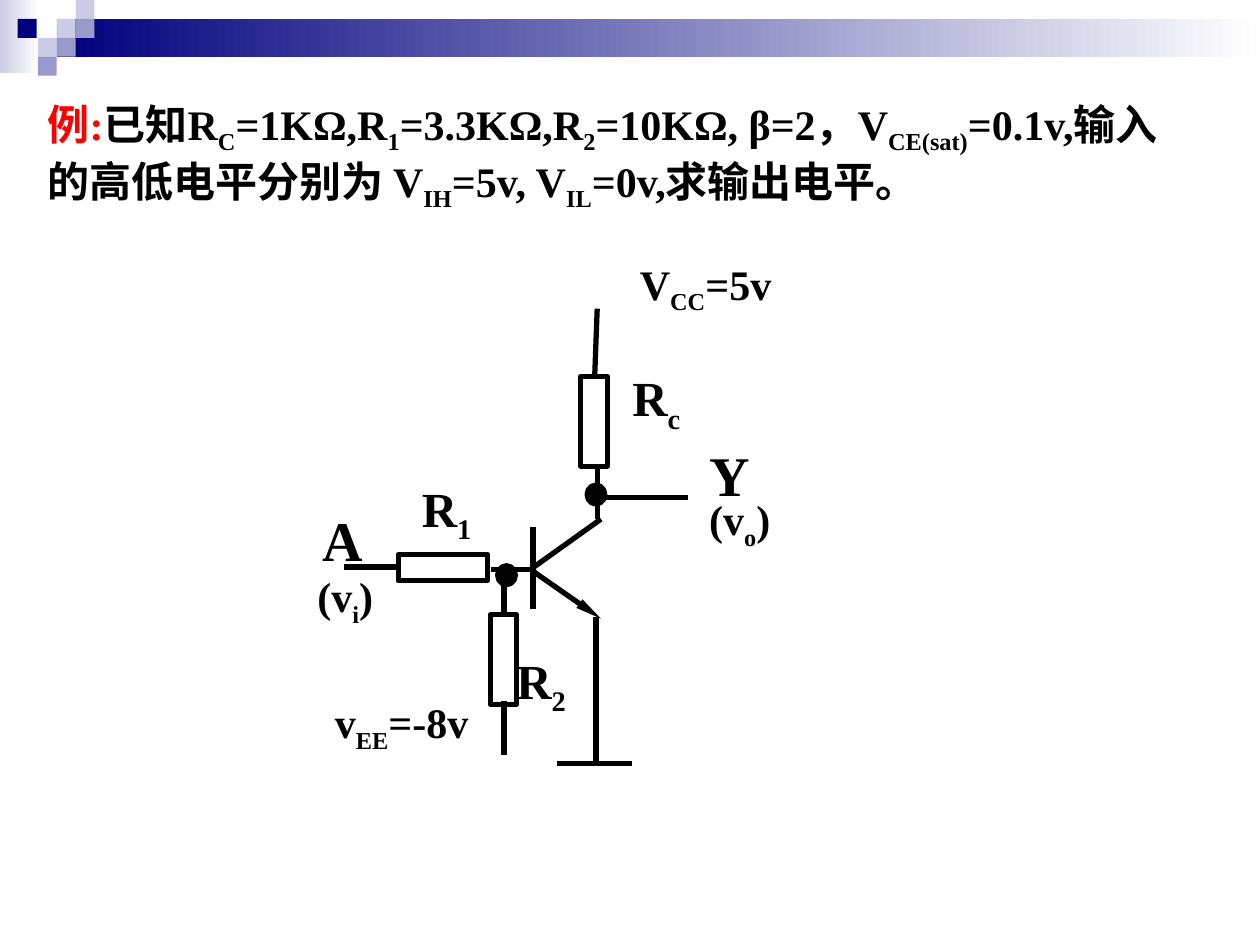
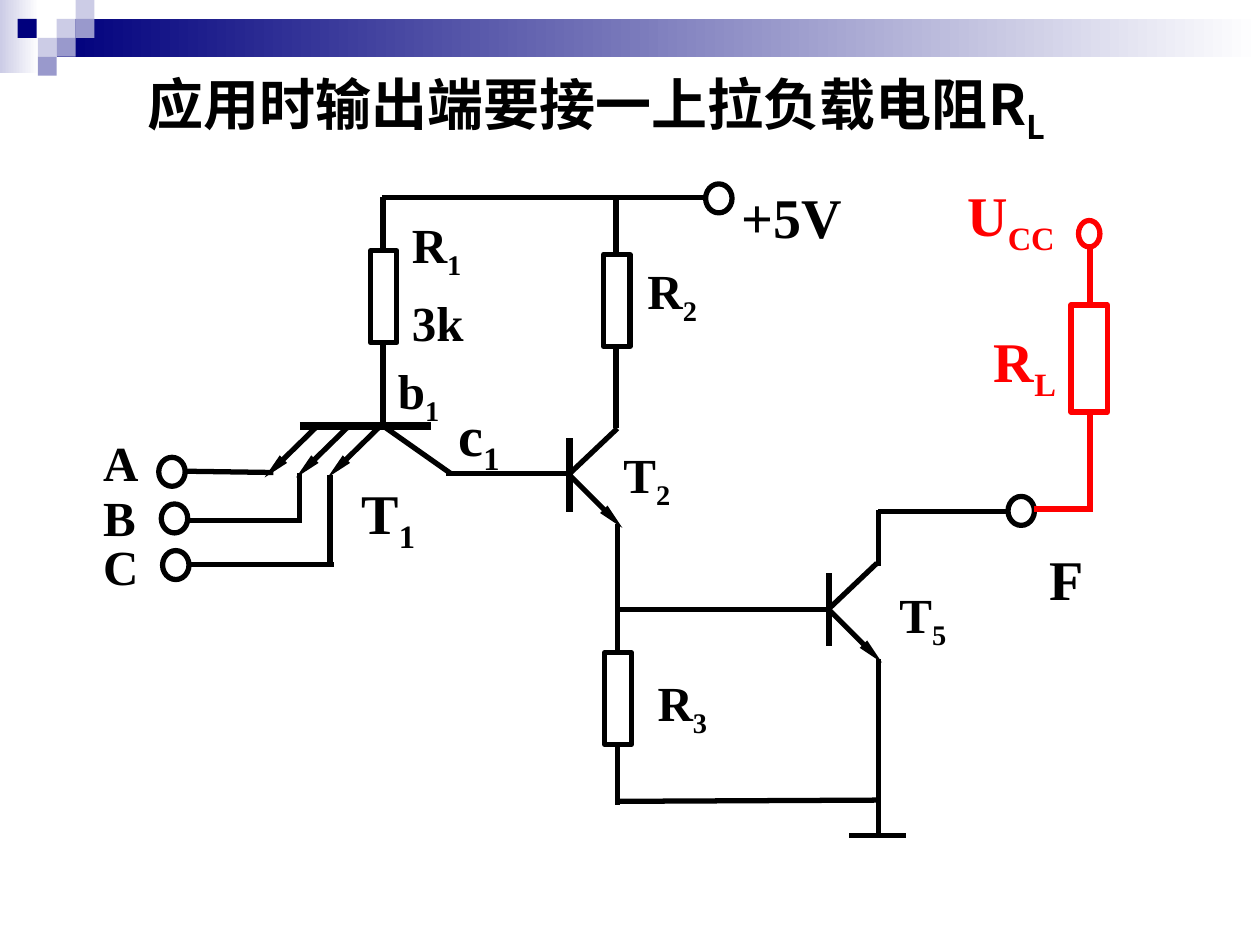
import pptx
import pptx.dml.color
import pptx.enum.dml
import pptx.enum.shapes
import pptx.enum.text
import pptx.oxml.ns
import pptx.util
from dataclasses import dataclass
from lxml import etree

Inches = pptx.util.Inches
Pt = pptx.util.Pt
RGB = pptx.dml.color.RGBColor.from_string
RECT = pptx.enum.shapes.MSO_SHAPE.RECTANGLE
OVAL = pptx.enum.shapes.MSO_SHAPE.OVAL


@dataclass
class Theme:
    ink: str = "000000"
    red: str = "FF0000"
    navy: str = "00007D"
    mid: str = "9999CC"
    pale: str = "CCCCE6"
    white: str = "FFFFFF"
    serif: str = "Times New Roman"
    sans: str = "Noto Sans CJK SC"
    big: int = 32
    mark: int = 28
    small: int = 24
    thin: float = 3
    thick: float = 4.5


look = Theme()


def shape(page, kind, x, y, w, h, fill=None, line=None):
    """Add a preset shape; a pair of fill colours makes a gradient."""
    item = page.shapes.add_shape(kind, Inches(x), Inches(y), Inches(w), Inches(h))
    item.shadow.inherit = False
    if isinstance(fill, tuple):
        item.fill.gradient()
        item.fill.gradient_angle = 0
        for stop, tone, place in zip(item.fill.gradient_stops, fill, (0, 1)):
            stop.color.rgb = RGB(tone)
            stop.position = place
    elif fill:
        item.fill.solid()
        item.fill.fore_color.rgb = RGB(fill)
    else:
        item.fill.background()
    if line:
        item.line.color.rgb = RGB(line)
        item.line.width = Pt(look.thin)
    else:
        item.line.fill.background()


def label(page, x, y, w, h, size, words, ink=look.ink, face=look.serif):
    """Add a text box; every second part between bars is a subscript."""
    box = page.shapes.add_textbox(Inches(x), Inches(y), Inches(w), Inches(h))
    frame = box.text_frame
    frame.word_wrap = True
    frame.auto_size = pptx.enum.text.MSO_AUTO_SIZE.SHAPE_TO_FIT_TEXT
    for i, part in enumerate(words.split("|")):
        if not part:
            continue
        run = frame.paragraphs[0].add_run()
        run.text = part
        run.font.size = Pt(size)
        run.font.bold = True
        run.font.name = face
        run.font.color.rgb = RGB(ink)
        props = run.font._element
        east = etree.SubElement(props, pptx.oxml.ns.qn("a:ea"))
        east.set("typeface", look.sans)
        if i % 2:
            props.set("baseline", "-25000")
    return frame


deck = pptx.Presentation()
deck.slide_width = Inches(10)
deck.slide_height = Inches(7.5)
first, second = [deck.slides.add_slide(deck.slide_layouts[6]) for _ in range(2)]

# Shared band and tiles
tiles = [
    (0.45, 0.15, look.pale), (0.6, 0, look.pale), (0.6, 0.15, look.mid),
    (0.3, 0.3, look.pale), (0.14, 0.15, look.navy),
    (0.45, 0.3, look.mid), (0.3, 0.45, look.mid),
]
for page in (first, second):
    shape(page, RECT, 0, 0, 0.31, 0.58, (look.pale, look.white))
    shape(page, RECT, 0.45, 0.15, 9.55, 0.3, (look.navy, look.white))
    for x, y, tone in tiles:
        shape(page, RECT, x, y, 0.15, 0.15, tone)

# Headings
task = label(
    first, 0.28, 0.73, 9.3, 0.9, look.small,
    "例:||已知R|C|=1KΩ,R|1|=3.3KΩ,R|2|=10KΩ, β=2，V|CE(sat)"
    "|=0.1v,输入的高低电平分别为 V|IH|=5v, V|IL|=0v,求输出电平。")
task.paragraphs[0].runs[0].font.color.rgb = RGB(look.red)
label(second, 1.07, 0.5, 7.45, 0.63, look.big,
      "应用时输出端要接一上拉负载电阻R|L", face=look.sans)

# Resistors
for page, x, y, w, h, ink in [
    (first, 4.61, 2.99, 0.21, 0.71, look.ink),
    (first, 3.16, 4.4, 0.71, 0.21, look.ink),
    (first, 3.89, 4.88, 0.21, 0.71, look.ink),
    (second, 4.8, 5.18, 0.21, 0.73, look.ink),
    (second, 2.94, 1.99, 0.21, 0.73, look.ink),
    (second, 4.79, 2.02, 0.21, 0.73, look.ink),
    (second, 8.5, 2.42, 0.29, 0.85, look.red),
]:
    shape(page, RECT, x, y, w, h, line=ink)

# Nodes and terminals
for x, y in [(4.66, 3.85), (3.95, 4.49)]:
    shape(first, OVAL, x, y, 0.14, 0.15, look.ink, look.ink)
for x, y in [(5.6, 1.46), (8, 3.94), (1.26, 3.63), (1.28, 4), (1.29, 4.37)]:
    shape(second, OVAL, x, y, 0.21, 0.23, line=look.ink)
shape(second, OVAL, 8.56, 1.75, 0.17, 0.21, line=look.red)

# Wires of the inverter
plain = [(first, look.ink, *ends) for ends in [
    (4.72, 2.99, 4.74, 2.45),
    (4.23, 4.18, 4.23, 4.83),
    (4.21, 4.52, 4.77, 4.12),
    (4.21, 4.52, 3.9, 4.52),
    (4.75, 3.95, 5.46, 3.95),
    (4.73, 4.9, 4.73, 6.08),
    (4.42, 6.06, 5.02, 6.06),
    (3.14, 4.5, 2.73, 4.5),
    (4.74, 3.68, 4.74, 4.12),
    (4, 4.49, 4, 4.87),
    (4, 5.56, 4, 5.99),
]]

# Wires of the gate
plain += [(second, look.ink, *ends) for ends in [
    (3.04, 3.38, 3.04, 2.73),
    (3.04, 3.38, 3.58, 3.76),
    (3.54, 3.76, 4.52, 3.76),
    (4.89, 3.4, 4.89, 2.75),
    (3.04, 1.98, 3.04, 1.56),
    (4.89, 2.02, 4.89, 1.56),
    (3.03, 1.57, 5.61, 1.57),
    (4.9, 4.16, 4.9, 5.18),
    (6.57, 4.84, 4.9, 4.84),
    (4.9, 5.9, 4.9, 6.39),
    (4.91, 6.36, 6.97, 6.35),
    (6.97, 5.23, 6.97, 6.64),
    (6.74, 6.63, 7.19, 6.63),
    (6.97, 4.06, 8.01, 4.06),
    (6.97, 4.05, 6.97, 4.49),
    (2.17, 3.75, 1.47, 3.74),
    (2.38, 3.75, 2.38, 4.15),
    (2.38, 4.13, 1.49, 4.13),
    (2.62, 3.77, 2.62, 4.5),
    (2.65, 4.48, 1.51, 4.48),
]]

# Pull-up branch
plain += [(second, look.red, *ends) for ends in [
    (8.21, 4.04, 8.65, 4.04),
    (8.65, 4.06, 8.65, 3.27),
    (8.65, 2.42, 8.65, 1.96),
]]

# Transistors: emitters carry arrowheads, two bars are thick
arrows = [(first, look.ink, 4.21, 4.52, 4.77, 4.91)]
for i in range(3):
    x = 2.52 + 0.25 * i
    arrows.append((second, look.ink, x, 3.38, x - 0.42, 3.79))
bars = [(second, look.ink, 2.38, 3.38, 3.42, 3.38)]
for x, y, group in [(4.52, 3.77, bars), (6.58, 4.84, plain)]:
    group.append((second, look.ink, x, y - 0.29, x, y + 0.29))
    arrows.append((second, look.ink, x, y, x + 0.42, y + 0.42))
    plain.append((second, look.ink, x, y - 0.01, x + 0.38, y - 0.37))

# Draw every wire
for group, width, head in [
    (plain, look.thin, False), (bars, look.thick, False), (arrows, look.thin, True),
]:
    for page, ink, *ends in group:
        wire = page.shapes.add_connector(
            pptx.enum.shapes.MSO_CONNECTOR.STRAIGHT, *[Inches(v) for v in ends])
        wire.line.color.rgb = RGB(ink)
        wire.line.width = Pt(width)
        if head:
            etree.SubElement(wire.line._get_or_add_ln(), pptx.oxml.ns.qn("a:tailEnd"),
                             type="triangle", w="sm", len="lg")
        etree.SubElement(wire._element.spPr, pptx.oxml.ns.qn("a:effectLst"))

# Labels of the inverter
for x, y, w, h, size, words in [
    (4.92, 2.87, 0.65, 0.57, look.mark, "R|c"),
    (5.53, 3.87, 0.98, 0.5, look.small, "(v|o|)"),
    (5.53, 3.45, 0.66, 0.63, look.big, "Y"),
    (4.98, 2, 1.45, 0.5, look.small, "V|CC|=5v"),
    (3.25, 3.75, 0.65, 0.57, look.mark, "R|1"),
    (2.46, 3.96, 0.51, 0.63, look.big, "A"),
    (2.56, 5.48, 1.4, 0.5, look.small, "v|EE|=-8v"),
    (2.42, 4.48, 0.98, 0.5, look.small, "(v|i|)"),
    (4, 5.11, 0.65, 0.57, look.mark, "R|2"),
]:
    label(first, x, y, w, h, size, words)

# Labels of the gate
for x, y, w, words in [
    (5.04, 2.02, 1.15, "R|2"), (3.17, 1.65, 1.15, "R|1"),
    (3.17, 2.27, 1.35, "3k"), (4.85, 3.48, 0.67, "T|2"),
    (5.12, 5.29, 1.12, "R|3"), (7.04, 4.59, 0.73, "T|5"),
    (3.06, 2.81, 0.88, "b|1"), (0.72, 3.38, 0.77, "A"),
    (0.72, 3.82, 0.77, "B"), (0.72, 4.21, 0.77, "C"),
]:
    label(second, x, y, w, 0.57, look.mark, words)
for x, y, w, words, ink in [
    (5.79, 1.4, 1.38, "+5V", look.ink), (8.23, 4.27, 0.81, "F", look.ink),
    (2.77, 3.75, 0.79, "T|1", look.ink), (3.54, 3.13, 1.1, "c|1", look.ink),
    (7.79, 2.54, 1, "R|L", look.red), (7.58, 1.38, 1.23, "U|CC", look.red),
]:
    label(second, x, y, w, 0.63, look.big, words, ink)

deck.save("out.pptx")
